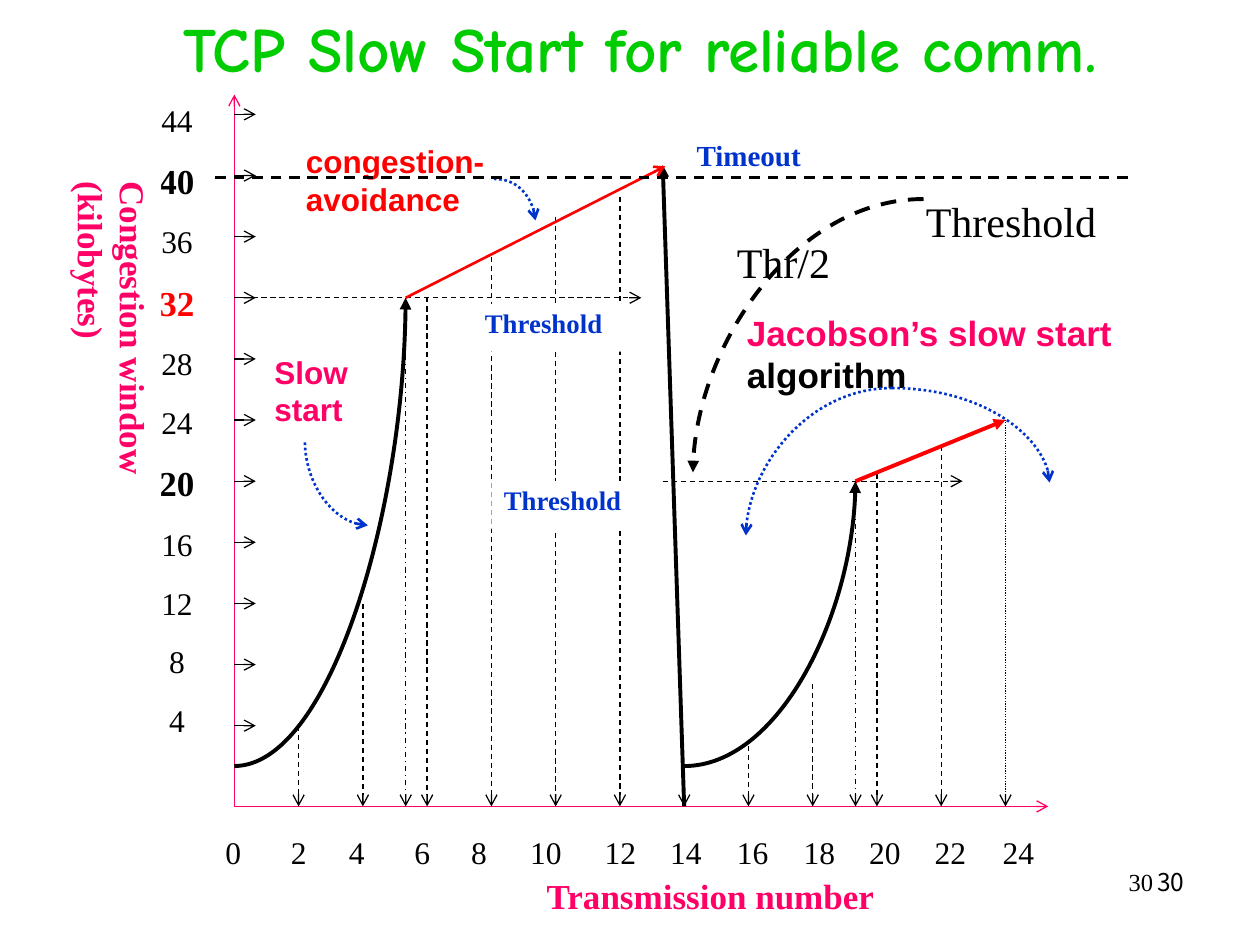
from dataclasses import dataclass

from lxml import etree
from pptx import Presentation
from pptx.dml.color import RGBColor
from pptx.enum.dml import MSO_LINE
from pptx.enum.shapes import MSO_CONNECTOR
from pptx.enum.text import MSO_ANCHOR, PP_ALIGN
from pptx.oxml.ns import qn
from pptx.util import Inches, Pt

STRAIGHT = MSO_CONNECTOR.STRAIGHT
DASH, DASH_DOT, DOT = MSO_LINE.DASH, MSO_LINE.DASH_DOT, MSO_LINE.ROUND_DOT
LEFT, CENTER, RIGHT = PP_ALIGN.LEFT, PP_ALIGN.CENTER, PP_ALIGN.RIGHT
MIDDLE = MSO_ANCHOR.MIDDLE
ROUNDNESS = 0.55  # control length of a quarter ellipse


@dataclass(frozen=True)
class Theme:
    green: str = "00CC00"
    pink: str = "FF0066"
    red: str = "FF0000"
    blue: str = "0033CC"
    black: str = "000000"
    white: str = "FFFFFF"
    serif: str = "Times New Roman"
    sans: str = "Arial"
    title_font: str = "Comic Neue"
    number_font: str = "Noto Sans CJK KR"
    title: float = 36
    large: float = 24
    strong: float = 20
    label: float = 18
    event: float = 16.6
    level: float = 15.3
    number: float = 14
    thin: float = 0.75
    medium: float = 1.5
    thick: float = 2.25


T = Theme()


def write(p, text, size=T.label, color=T.black, font=T.serif, bold=False):
    r = p.add_run()
    r.text = text
    r.font.size, r.font.name, r.font.bold = Pt(size), font, bold
    r.font.color.rgb = RGBColor.from_string(color)


def add_text(shapes, box, text="", fill=None, align=LEFT, spacing=None, **fmt):
    """Wrapped text box; returns its text frame."""
    sp = shapes.add_textbox(*map(Inches, box))
    if fill:
        sp.fill.solid()
        sp.fill.fore_color.rgb = RGBColor.from_string(fill)
    tf = sp.text_frame
    tf.word_wrap = True
    p = tf.paragraphs[0]
    p.alignment = align
    if spacing:
        p.line_spacing = spacing
    if text:
        write(p, text, **fmt)
    return tf


def style_line(shape, color=T.black, width=T.thin, dash=None, head=None, tail=None):
    ln = shape.line
    ln.color.rgb = RGBColor.from_string(color)
    ln.width = Pt(width)
    if dash:
        ln.dash_style = dash
    xml = shape._element.spPr.find(qn("a:ln"))
    for tag, kind in (("a:headEnd", head), ("a:tailEnd", tail)):
        if kind:
            etree.SubElement(xml, qn(tag), type=kind)


def add_line(shapes, x1, y1, x2, y2, **fmt):
    c = shapes.add_connector(STRAIGHT, *map(Inches, (x1, y1, x2, y2)))
    style_line(c, **fmt)
    etree.SubElement(c._element.spPr, qn("a:effectLst"))


def add_arc(shapes, x1, y1, x2, y2, **fmt):
    """Quarter ellipse that leaves horizontally and arrives vertically."""
    builder = shapes.build_freeform(Inches(x1), Inches(y1))
    builder.add_line_segments([(Inches(x2), Inches(y2))], close=False)
    sp = builder.convert_to_shape()
    sp.shadow.inherit = False
    sp.fill.background()
    # Bend the single segment into a cubic curve
    segment = next(sp._element.iter(qn("a:lnTo")))
    left, top = min(x1, x2), min(y1, y2)
    controls = ((x1 + (x2 - x1) * ROUNDNESS, y1), (x2, y2 + (y1 - y2) * (1 - ROUNDNESS)))
    for i, (cx, cy) in enumerate(controls):
        segment.insert(i, etree.Element(qn("a:pt"), x=str(Inches(cx - left)),
                                        y=str(Inches(cy - top))))
    segment.tag = qn("a:cubicBezTo")
    style_line(sp, **fmt)


def add_title(s, box):
    sp = s.shapes.title
    sp.left, sp.top, sp.width, sp.height = map(Inches, box)
    tf = sp.text_frame
    tf.vertical_anchor = MIDDLE
    p = tf.paragraphs[0]
    p.alignment = CENTER
    write(p, "TCP Slow Start for reliable comm.", T.title, T.green, T.title_font, True)


def add_page_numbers(s, box):
    x, y, w, h = box
    add_text(s.shapes, box, "30", align=RIGHT, size=T.number, font=T.number_font)
    add_text(s.shapes, (x, y, w - 0.25, h), "30", align=RIGHT, size=T.number)


def add_x_labels(shapes, box):
    tf = add_text(shapes, box, fill=T.white)
    p = tf.paragraphs[0]
    tabs = etree.SubElement(p._p.get_or_add_pPr(), qn("a:tabLst"))
    for stop in (0.52, 0.98, 1.5, 1.95, 2.42, 3.01, 3.53, 4.06, 4.59, 5.11, 5.63, 6.17):
        etree.SubElement(tabs, qn("a:tab"), pos=str(Inches(stop)), algn="l")
    write(p, "\t".join(str(n) for n in range(0, 25, 2)))


def add_y_labels(shapes, box):
    strong = {40: T.black, 32: T.red, 20: T.black}
    tf = add_text(shapes, box, fill=T.white)
    tf.margin_left, tf.margin_right = 0, Inches(0.16)
    for kb in range(44, 0, -4):
        p = tf.paragraphs[0] if kb == 44 else tf.add_paragraph()
        p.alignment = CENTER
        if kb < 44:
            p.space_before = Pt(12)
        write(p, str(kb), T.strong if kb in strong else T.label,
              strong.get(kb, T.black), bold=kb in strong)


def add_plot(s, box):
    """Axes, ticks, drop lines, curves and their labels."""
    x, y, w, h = box
    base = y + h
    g = s.shapes.add_group_shape().shapes

    def at(n):
        return x + 0.255 * n

    def level(kb):
        return base - 0.155 - kb * 0.1213

    # Axes and drop lines, by height above the base
    add_line(g, x, base, x + w, base, color=T.pink, tail="arrow")
    add_line(g, x, base, x, y, color=T.pink, tail="arrow")
    add_x_labels(g, (x - 0.17, base + 0.16, 6.64, 0.49))
    heights = (0.64, 1.61, 4.04, 4.36, 4.68, 4.84, 0.16, 0.48, 0.97, 2.64, 2.86, 3.07)
    dashes = {14: None, 24: DOT}
    for n, height in zip(range(2, 25, 2), heights):
        add_line(g, at(n), base - height, at(n), base,
                 dash=dashes.get(n, DASH), tail="arrow")

    # Vertical scale and threshold levels
    add_y_labels(g, (x - 0.68, y, 0.61, h))
    for kb in range(44, 0, -4):
        add_line(g, x, level(kb), x + 0.17, level(kb), tail="arrow")
    add_line(g, x, level(32), x + 3.23, level(32), dash=DASH, tail="arrow")
    add_line(g, x + 3.4, level(20), x + 5.78, level(20), dash=DASH, tail="arrow")

    # Window growth, timeout and restart
    peak1, peak2, start = x + 1.36, x + 4.93, base - 0.32
    thick = dict(width=T.thick, tail="triangle")
    add_line(g, at(14), base, x + 3.4, y + 0.56, **thick)
    add_line(g, peak1, level(32), x + 3.42, y + 0.57,
             color=T.red, width=T.medium, tail="arrow")
    add_arc(g, at(14), start, peak2, level(20), **thick)
    add_arc(g, x, start, peak1, level(32), **thick)
    add_line(g, peak2, level(20), at(24), level(24), color=T.red, **thick)

    # Axis titles and level names
    axis = dict(fill=T.white, size=T.strong, color=T.pink, bold=True)
    tf = add_text(g, (x - 1.15, y + 0.16, 0.57, 3.39), "Congestion window (kilobytes)", **axis)
    tf.margin_left = tf.margin_right = Inches(0.05)
    tf.margin_top, tf.margin_bottom = Inches(0.53), Inches(0.1)
    tf._txBody.bodyPr.set("vert", "eaVert")
    add_text(g, (x + 2.38, base + 0.49, 2.89, 0.48), "Transmission number", **axis)
    name = dict(fill=T.white, spacing=0.9, color=T.blue, bold=True)
    for left, kb in ((1.89, 31.6), (2.04, 20)):
        add_text(g, (x + left, level(kb), 1.36, 0.38), "Threshold", size=T.level, **name)
    add_text(g, (x + 3.57, y + 0.32, 1.11, 0.39), "Timeout", size=T.event, **name)
    for px, kb in ((peak1, 32), (peak2, 20)):
        add_line(g, px, level(kb), px, base, dash=DASH_DOT, tail="arrow")


def add_callouts(s, box):
    """Phase names, pointers and the threshold line over the plot."""
    x, y, w, h = box
    sh = s.shapes
    bold = dict(font=T.sans, bold=True)
    pointer = dict(color=T.blue, width=T.medium, dash=DOT)
    add_text(sh, (x + 0.22, y + 2, 0.83, 0.7), "Slow start", color=T.pink, **bold)
    add_arc(sh, x + 1.06, y + 3.42, x + 0.56, y + 2.75, head="arrow", **pointer)
    add_text(sh, (x + 0.47, y + 0.33, 1.67, 0.7), "congestion-avoidance", color=T.red, **bold)
    add_arc(sh, x + 2.06, y + 0.67, x + 2.39, y + 1, tail="arrow", **pointer)
    tf = add_text(sh, (x + 3.97, y + 1.67, 3.58, 0.77), "Jacobson’s slow start",
                  size=T.strong, color=T.pink, **bold)
    write(tf.paragraphs[0], " algorithm", T.strong, **bold)
    for dx, dy in ((4.06, 3.5), (6.47, 3.08)):
        add_arc(sh, x + 5.22, y + 2.33, x + dx, y + dy, tail="arrow", **pointer)
    add_line(sh, x - 0.15, y + 0.66, x + w + 0.64, y + 0.66, width=T.medium, dash=DASH)
    add_text(sh, (x + 5.39, y + 0.75, 2, 0.5), "Threshold", size=T.large)
    add_arc(sh, x + 5.47, y + 0.83, x + 3.64, y + 3, width=T.thick, dash=DASH, tail="triangle")
    add_text(sh, (x + 3.89, y + 1.08, 1.33, 0.5), "Thr/2", size=T.large)


def main():
    prs = Presentation()
    prs.slide_width, prs.slide_height = Inches(10), Inches(7.5)
    s = prs.slides.add_slide(prs.slide_layouts[5])
    plot = (1.86, 0.75, 6.46, 5.65)
    add_page_numbers(s, (7.17, 6.83, 2.33, 0.5))
    add_title(s, (0.58, 0, 9, 0.75))
    add_plot(s, plot)
    add_callouts(s, plot)
    prs.save("out.pptx")


if __name__ == "__main__":
    main()
